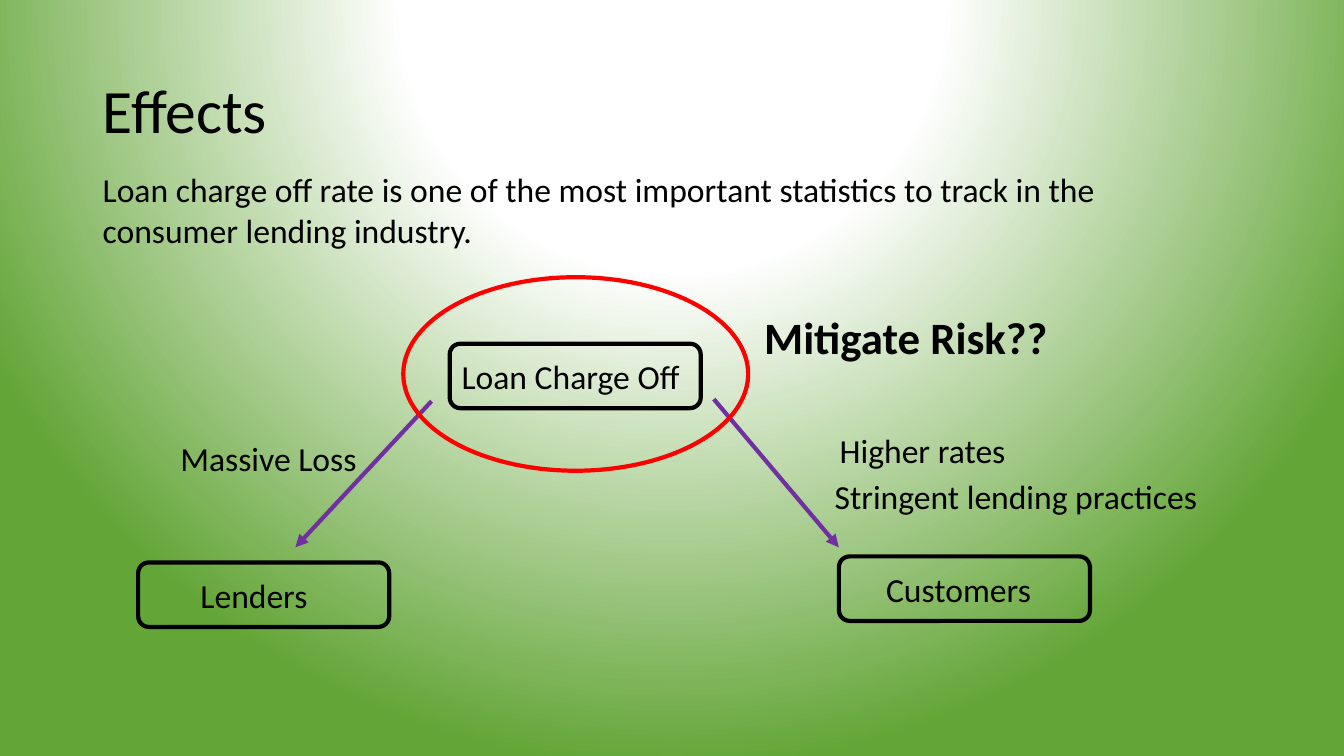
from pptx import Presentation
from pptx.dml.color import RGBColor
from pptx.enum.shapes import MSO_CONNECTOR, MSO_SHAPE
from pptx.enum.text import MSO_ANCHOR, MSO_AUTO_SIZE, PP_ALIGN
from pptx.oxml import parse_xml
from pptx.oxml.ns import nsdecls, qn
from pptx.oxml.xmlchemy import OxmlElement
from pptx.util import Inches, Pt

BLACK = RGBColor(0x00, 0x00, 0x00)
RED = RGBColor(0xFF, 0x00, 0x00)
PURPLE = RGBColor(0x70, 0x30, 0xA0)
WHITE = RGBColor(0xFF, 0xFF, 0xFF)
GREEN = RGBColor(0x63, 0xA5, 0x37)


def write(tf, text, size=24, bold=False, color=BLACK, spacing=1.0):
    """Put one formatted, left-aligned paragraph in a text frame."""
    tf.word_wrap = True
    p = tf.paragraphs[0]
    p.alignment = PP_ALIGN.LEFT
    p.line_spacing = spacing
    r = p.add_run()
    r.text = text
    r.font.name = "Calibri"
    r.font.size = Pt(size)
    r.font.bold = bold
    r.font.color.rgb = color


class SlideBuilder:
    line_width = Pt(3)
    box_size = (2.49, 0.64)

    def __init__(self, prs):
        self.s = prs.slides.add_slide(prs.slide_layouts[5])

    def background(self, stops):
        """Fill the background with a circular gradient centred above the slide."""
        self.s.background.fill.gradient()
        grad = self.s.element.find(".//" + qn("a:gradFill"))
        gs = "".join(
            f'<a:gs pos="{pos * 1000}"><a:srgbClr val="{color}"/></a:gs>'
            for pos, color in stops
        )
        grad.getparent().replace(grad, parse_xml(
            f'<a:gradFill {nsdecls("a")} rotWithShape="1"><a:gsLst>{gs}</a:gsLst>'
            '<a:path path="circle">'
            '<a:fillToRect l="50000" t="-80000" r="50000" b="180000"/>'
            '</a:path></a:gradFill>'
        ))

    def title(self, text, x, y, w, h):
        sp = self.s.shapes.title
        sp.left, sp.top, sp.width, sp.height = map(Inches, (x, y, w, h))
        sp.text_frame.vertical_anchor = MSO_ANCHOR.MIDDLE
        write(sp.text_frame, text, size=44, spacing=0.9)

    def text(self, text, x, y, w, h, shapes=None, **fmt):
        shapes = shapes or self.s.shapes
        tf = shapes.add_textbox(*map(Inches, (x, y, w, h))).text_frame
        write(tf, text, **fmt)
        tf.auto_size = MSO_AUTO_SIZE.SHAPE_TO_FIT_TEXT

    def outline(self, kind, x, y, w, h, color, shapes=None):
        shapes = shapes or self.s.shapes
        sp = shapes.add_shape(kind, *map(Inches, (x, y, w, h)))
        sp.shadow.inherit = False
        sp.fill.background()
        sp.line.color.rgb = color
        sp.line.width = self.line_width

    def labelled_box(self, text, x, y, indent, label_width):
        """Group a label with the rounded box around it."""
        shapes = self.s.shapes.add_group_shape().shapes
        self.text(text, x + indent, y + 0.07, label_width, 0.5, shapes=shapes)
        self.outline(MSO_SHAPE.ROUNDED_RECTANGLE, x, y, *self.box_size, BLACK, shapes=shapes)

    def arrow(self, start, end):
        cxn = self.s.shapes.add_connector(
            MSO_CONNECTOR.STRAIGHT, *map(Inches, (*start, *end)))
        cxn.line.color.rgb = PURPLE
        cxn.line.width = self.line_width
        tail = OxmlElement("a:tailEnd")
        tail.set("type", "triangle")
        cxn.line._get_or_add_ln().append(tail)
        cxn._element.spPr.append(OxmlElement("a:effectLst"))


def main():
    prs = Presentation()
    prs.slide_width, prs.slide_height = Inches(13.33), Inches(7.5)
    b = SlideBuilder(prs)

    # Background, title and statement
    b.background([(0, WHITE), (35, WHITE), (100, GREEN)])
    b.title("Effects", 0.92, 0.4, 11.5, 1.45)
    b.text("Loan charge off rate is one of the most important statistics "
           "to track in the consumer lending industry.", 0.92, 1.63, 10.79, 1.31)

    # Cause and the two affected parties
    b.labelled_box("Lenders", 1.37, 5.58, 0.52, 1.46)
    b.labelled_box("Loan Charge Off", 4.46, 3.41, 0.02, 2.49)
    b.labelled_box("Customers", 8.32, 5.52, 0.37, 2)
    b.arrow((4.28, 3.98), (2.93, 5.43))
    b.arrow((7.08, 3.96), (8.32, 5.43))

    # Consequences beside the arrows
    b.text("Massive Loss", 1.69, 4.3, 3.32, 0.5)
    b.text("Higher rates", 8.23, 4.22, 3.28, 0.91)
    b.text("Stringent lending practices", 8.18, 4.67, 4.98, 0.91)

    # Highlighted question
    b.outline(MSO_SHAPE.OVAL, 4, 2.75, 3.42, 1.92, RED)
    b.text("Mitigate Risk??", 7.48, 3.02, 4.41, 0.64, size=32, bold=True)

    prs.save("out.pptx")


if __name__ == "__main__":
    main()
